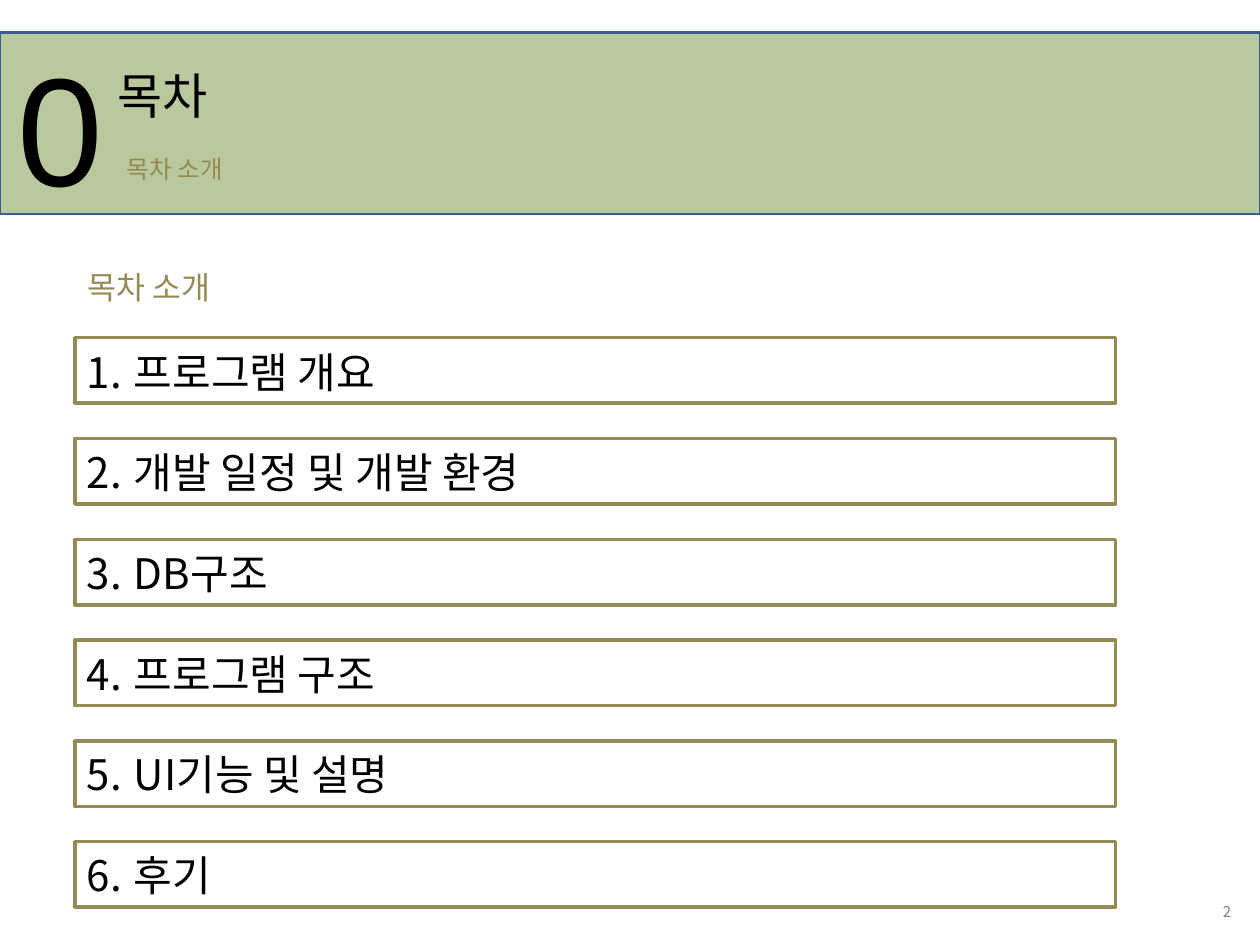
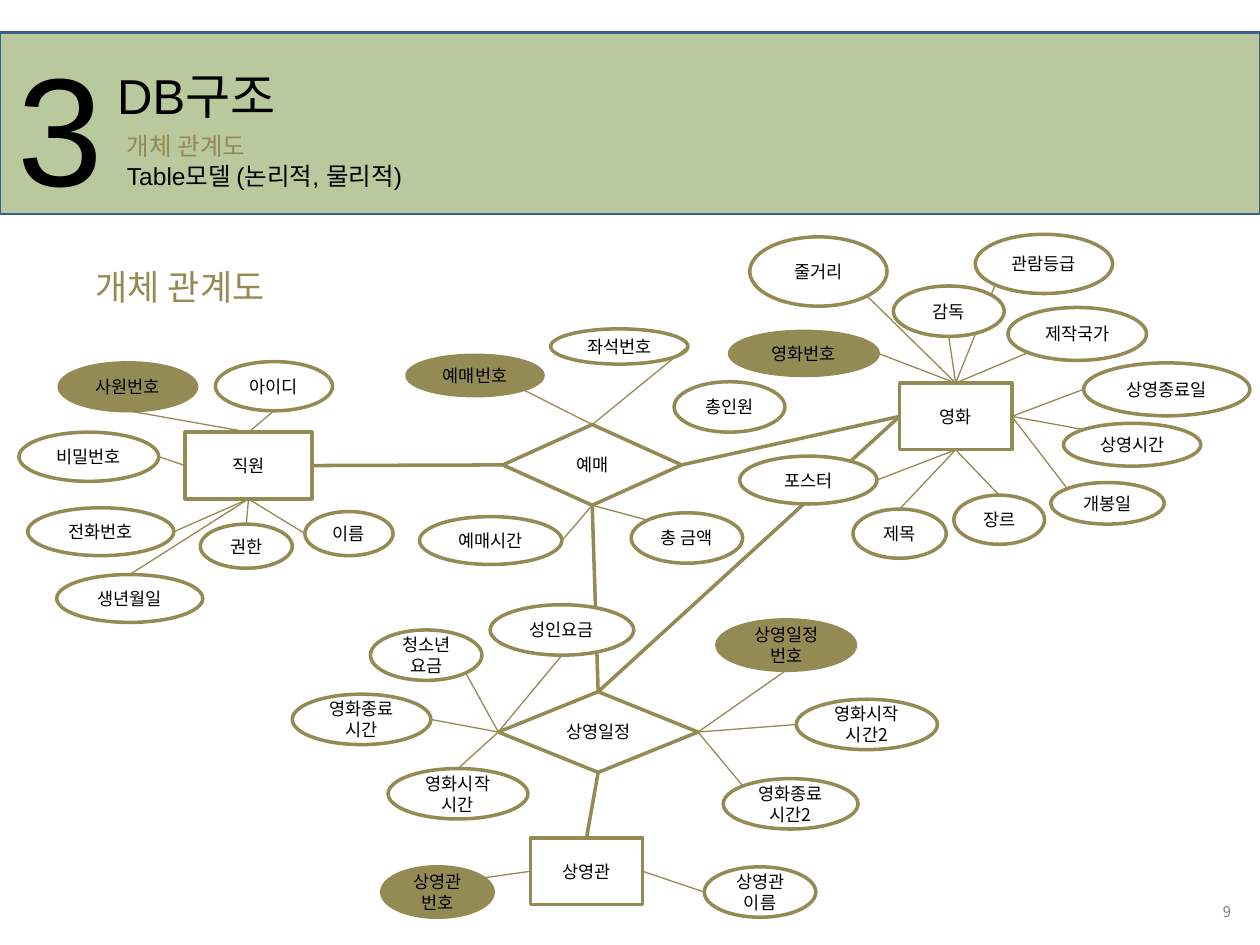
import pptx
import pptx.dml.color
import pptx.enum.shapes
import pptx.enum.text
import pptx.oxml.ns
import pptx.util
from lxml import etree

RGBColor = pptx.dml.color.RGBColor
OLIVE = RGBColor(0x94, 0x8A, 0x54)
GREEN = RGBColor(0x77, 0x93, 0x3C)
NAVY = RGBColor(0x3A, 0x5F, 0x8C)
BLACK = RGBColor(0, 0, 0)
WHITE = RGBColor(255, 255, 255)
GRAY = RGBColor(128, 128, 128)
LATIN, KOREAN = "Arial", "Noto Sans CJK KR"

Preset = pptx.enum.shapes.MSO_SHAPE
Align = pptx.enum.text.PP_ALIGN
Anchor = pptx.enum.text.MSO_ANCHOR
qn = pptx.oxml.ns.qn

# The slide is a grid of 100 columns by 75 rows.
CELL = pptx.util.Inches(0.1)


def add_box(slide, area, preset=None, fill=None, outline=None, weight=2):
    """Add a preset shape, or a text box without preset; area is in grid cells."""
    area = [round(length * CELL) for length in area]
    if preset is None:
        return slide.shapes.add_textbox(*area)
    shape = slide.shapes.add_shape(preset, *area)
    shape.shadow.inherit = False
    if fill is None:
        shape.fill.background()
    else:
        shape.fill.solid()
        shape.fill.fore_color.rgb = fill
    if outline is None:
        shape.line.fill.background()
    else:
        shape.line.color.rgb = outline
        shape.line.width = pptx.util.Pt(weight)
    return shape


def write(shape, text, size, color=BLACK, font=KOREAN, leading=None,
          align=Align.LEFT, anchor=Anchor.TOP):
    """Fill the shape with text; leading is the line height in points."""
    frame = shape.text_frame
    frame.text = text
    frame.word_wrap = True
    frame.vertical_anchor = anchor
    for paragraph in frame.paragraphs:
        paragraph.alignment = align
        paragraph.line_spacing = pptx.util.Pt(leading or size * 1.2)
        for run in paragraph.runs:
            run.font.size = pptx.util.Pt(size)
            run.font.name = font
            run.font.color.rgb = color
            east_asian = etree.SubElement(run.font._element, qn("a:ea"))
            east_asian.set("typeface", KOREAN)
    return frame


deck = pptx.Presentation()
deck.slide_width, deck.slide_height = 100 * CELL, 75 * CELL

# Header band, chapter number, title, section label and page number
chapters = [
    ("0", "목차", "목차 소개", 11.7, (6, 20.8, 13, 4), 18, LATIN, "2"),
    ("3", "DB구조", "개체 관계도\nTable모델 (논리적, 물리적)", 9.9,
     (6.6, 20.6, 17, 4.4), 20, KOREAN, "9"),
]
for number, heading, subtitle, subtitle_row, label_area, label_size, label_font, page in chapters:
    slide = deck.slides.add_slide(deck.slide_layouts[5])
    band = add_box(slide, (0, 2.6, 100, 14.4), Preset.RECTANGLE, GREEN, NAVY, 1.5)
    tint = band.fill._xPr.find(qn("a:solidFill"))[0]
    etree.SubElement(tint, qn("a:alpha")).set("val", "50000")

    title = slide.shapes.title
    title.left, title.top, title.width, title.height = [
        round(length * CELL) for length in (8.3, 4.4, 44.9, 5.7)]
    slide.shapes._spTree.append(title._element)
    write(title, heading, 28, font=LATIN, leading=36)

    write(add_box(slide, (0.4, 2, 8.7, 15.8)), number, 88, font=LATIN, leading=106)
    subtitles = write(add_box(slide, (9.1, subtitle_row, 45.7, 5.8)), subtitle, 14,
                      font=LATIN, leading=17)
    subtitles.paragraphs[0].runs[0].font.color.rgb = OLIVE
    write(add_box(slide, label_area), subtitle.split("\n")[0], label_size, OLIVE, label_font)
    write(add_box(slide, (77.6, 71, 21.1, 2.7)), page, 8.5, GRAY,
          align=Align.RIGHT, anchor=Anchor.MIDDLE)

contents, diagram = deck.slides

# Contents: one frame per numbered topic
topics = ["프로그램 개요", "개발 일정 및 개발 환경", "DB구조",
          "프로그램 구조", "UI기능 및 설명", "후기"]
for row in range(len(topics)):
    add_box(contents, (5.95, 26.8 + 8 * row, 82.6, 5.2), Preset.RECTANGLE, WHITE, OLIVE)
topic_list = write(add_box(contents, (5.9, 27, 60, 45.4)), "\n".join(topics), 24)
for paragraph in topic_list.paragraphs:
    paragraph.space_after = pptx.util.Pt(28.7)
    properties = paragraph._p.get_or_add_pPr()
    properties.set("marL", "342900")
    properties.set("indent", "-342900")
    etree.SubElement(properties, qn("a:buFont")).set("typeface", "+mj-lt")
    etree.SubElement(properties, qn("a:buAutoNum")).set("type", "arabicPeriod")

# Entity relationship diagram
TOP, LEFT, BOTTOM, RIGHT = range(4)
# Share of half the width and height from the centre of an outline
SITES = {"N": (0, -1), "S": (0, 1), "W": (-1, 0), "E": (1, 0),
         "NW": (-0.71, -0.71), "SW": (-0.71, 0.71), "SE": (0.71, 0.71)}

entities = {
    "영화": (Preset.RECTANGLE, (71.4, 30.4, 8.9, 5.3)),
    "직원": (Preset.RECTANGLE, (14.7, 34.3, 10.05, 5.3)),
    "예매": (Preset.DIAMOND, (39.9, 33.7, 14.2, 6.4)),
    "상영관": (Preset.RECTANGLE, (42.1, 66.5, 8.9, 5.3)),
    "상영일정": (Preset.DIAMOND, (39.55, 54.9, 15.85, 6.4)),
}
relations = [
    ("직원", "E", RIGHT, "예매", LEFT),
    ("예매", "E", RIGHT, "영화", LEFT),
    ("영화", "W", LEFT, "상영일정", TOP),
    ("상영일정", "S", BOTTOM, "상영관", TOP),
    ("예매", "S", BOTTOM, "상영일정", TOP),
]
# Attribute, area, fill, site where its link starts, side of the entity
attributes = {
    "직원": [
        ("비밀번호", (1.5, 34.3, 11.1, 3.9), None, "E", LEFT),
        ("아이디", (17.1, 28.7, 9.3, 3.9), None, "S", TOP),
        ("사원번호", (4.7, 28.8, 10.9, 3.8), OLIVE, "S", TOP),
        ("전화번호", (2.2, 40.3, 11.6, 3.8), None, "E", BOTTOM),
        ("이름", (24.2, 40.6, 7, 3.5), None, "W", BOTTOM),
        ("권한", (15.9, 41.6, 7.3, 3.5), None, "N", BOTTOM),
        ("생년월일", (4.5, 45.6, 11.6, 3.8), None, "N", BOTTOM),
    ],
    "영화": [
        ("줄거리", (59.5, 18.8, 10.9, 5.5), None, "SE", TOP),
        ("관람등급", (77.4, 18.6, 10.9, 4.7), None, "SW", TOP),
        ("제작국가", (80, 24.4, 11, 4.2), None, "SW", TOP),
        ("상영시간", (84.4, 33.6, 10.9, 3.4), None, "NW", RIGHT),
        ("상영종료일", (86, 28.8, 13.2, 4.2), None, "W", RIGHT),
        ("개봉일", (83.4, 38.3, 9, 3.3), None, "NW", RIGHT),
        ("제목", (67.7, 40.4, 7.4, 3.9), None, "N", BOTTOM),
        ("영화번호", (57.9, 26.3, 11.8, 3.5), OLIVE, "E", TOP),
        ("감독", (70.9, 22.7, 8.8, 4), WHITE, "S", TOP),
        ("장르", (75.7, 39.3, 7.2, 3.9), WHITE, "N", BOTTOM),
        ("포스터", (58.7, 36.2, 10.9, 3.8), WHITE, "E", BOTTOM),
    ],
    "예매": [
        ("총인원", (53.5, 30.3, 8.8, 4), None, None, None),
        ("좌석번호", (43.7, 26.1, 10.9, 2.8), None, "E", TOP),
        ("예매시간", (33.3, 41, 11.3, 3.8), None, "E", BOTTOM),
        ("예매번호", (32.3, 28.2, 10.8, 3.2), OLIVE, "SE", TOP),
        ("총 금액", (50.1, 40.7, 8.85, 4), None, "NW", BOTTOM),
    ],
    "상영관": [
        ("상영관번호", (30.3, 68.8, 8.85, 4), OLIVE, "W", LEFT),
        ("상영관이름", (55.9, 68.8, 8.85, 4), None, "W", RIGHT),
    ],
    "상영일정": [
        ("영화종료시간2", (57.4, 61.8, 10.7, 4), None, "NW", RIGHT),
        ("영화시작시간2", (63.2, 55.5, 11.2, 4), None, "W", RIGHT),
        ("청소년요금", (29.4, 50, 8.85, 4), WHITE, "SE", LEFT),
        ("성인요금", (38.9, 48, 11.4, 4), WHITE, "S", LEFT),
        ("영화종료시간", (23.2, 55.1, 11, 4), None, "E", LEFT),
        ("영화시작시간", (30.8, 61, 11.1, 4), None, "N", LEFT),
        ("상영일정번호", (56.9, 49.2, 11, 4), OLIVE, "S", RIGHT),
    ],
}

nodes = {}
for name, (preset, area) in entities.items():
    nodes[name] = add_box(diagram, area, preset, outline=OLIVE)
    write(nodes[name], name, 10, align=Align.CENTER, anchor=Anchor.MIDDLE)

links = [(entities[source][1], site, target, side, 2, (nodes[source], source_side))
         for source, site, source_side, target, side in relations]
links += [(area, site, owner, side, 0.75, None)
          for owner, group in attributes.items()
          for _, area, _, site, side in group if site]
for (col, row, cols, rows), site, target, side, weight, source in links:
    across, down = SITES[site]
    start = (round((col + cols * (1 + across) / 2) * CELL),
             round((row + rows * (1 + down) / 2) * CELL))
    link = diagram.shapes.add_connector(
        pptx.enum.shapes.MSO_CONNECTOR.STRAIGHT, *start, *start)
    if source:
        link.begin_connect(*source)
    link.end_connect(nodes[target], side)
    link.line.color.rgb = OLIVE
    link.line.width = pptx.util.Pt(weight)
    etree.SubElement(link._element.spPr, qn("a:effectLst"))

for group in attributes.values():
    for name, area, fill, _, _ in group:
        attribute = add_box(diagram, area, Preset.OVAL, fill, OLIVE)
        write(attribute, name, 10, align=Align.CENTER, anchor=Anchor.MIDDLE)

deck.save("out.pptx")
